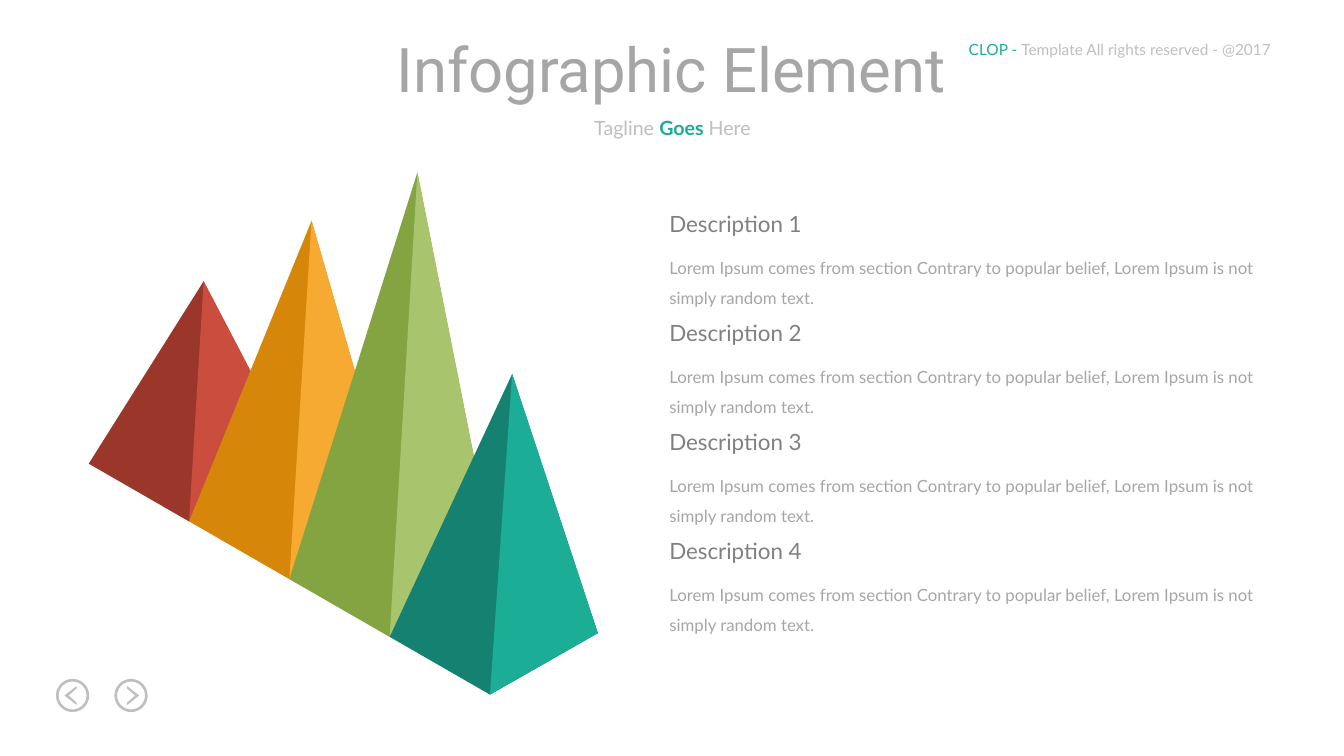
from dataclasses import dataclass

from pptx import Presentation
from pptx.dml.color import RGBColor
from pptx.enum.shapes import MSO_SHAPE as Preset
from pptx.enum.text import MSO_ANCHOR as Anchor, MSO_AUTO_SIZE as AutoSize, PP_ALIGN as Align
from pptx.util import Inches, Pt

# Content
TITLE = "Infographic Element"
TAGLINE = [("Tagline ", "pale", False), ("Goes ", "accent", True), ("Here", "pale", False)]
COPYRIGHT = [("CLOP - ", "accent", False), ("Template All rights reserved - @2017", "pale", False)]
LOREM = ("Lorem Ipsum comes from section Contrary to popular belief, "
         "Lorem Ipsum is not simply random text.")
DESCRIPTIONS = [(f"Description {number}", LOREM) for number in range(1, 5)]
PYRAMIDS = [  # apex, shaded face, lit face
    ((2.02, 2.79), "9B372A", "CA4D3D"),
    ((3.09, 2.19), "D68608", "F7AA32"),
    ((4.14, 1.71), "84A441", "A8C56D"),
    ((5.08, 3.71), "158271", "1CAD97"),
]


@dataclass(frozen=True)
class Theme:
    accent: str = "1CAD97"
    pale: str = "BFBFBF"
    body: str = "A6A6A6"
    heading: str = "808080"
    title_font: str = "Roboto"
    text_font: str = "Lato"
    title_size: int = 44
    heading_size: int = 16
    tagline_size: int = 14
    body_size: int = 12
    small_size: int = 11


THEME = Theme()

# Layout in inches
SLIDE_SIZE = (13.33, 7.5)
TITLE_BOX = (3.81, 0.26, 5.7, 0.84)
TAGLINE_BOX = (5.77, 1.1, 1.8, 0.34)
COPYRIGHT_BOX = (9.51, 0.35, 3.26, 0.29)
TEXT_LEFT, TEXT_TOP, ROW_PITCH = 6.54, 2.04, 1.08
HEADING_WIDTH, HEADING_HEIGHT = 1.53, 0.37
BODY_WIDTH, BODY_HEIGHT = 6.19, 0.71
BASE_START, BASE_STEP = (0.88, 4.6), (0.995, 0.573)
BASE_DEPTH = (1.07, -0.61)
BUTTON_CENTERS, BUTTON_Y, BUTTON_SIZE = [(0.72, -1), (1.3, 1)], 6.9, 0.33


def inches(values):
    return [Inches(value) for value in values]


def paint(shape, color):
    shape.shadow.inherit = False
    shape.fill.solid()
    shape.fill.fore_color.rgb = RGBColor.from_string(color)
    shape.line.fill.background()


def draw_polygon(slide, points, color):
    corners = [inches(point) for point in points]
    builder = slide.shapes.build_freeform(*corners[0])
    builder.add_line_segments(corners[1:], close=True)
    paint(builder.convert_to_shape(), color)


def fill_text(shape, box, runs, size, font=THEME.text_font, align=Align.LEFT,
              wrap=False, line_spacing=1.0):
    shape.left, shape.top, shape.width, shape.height = inches(box)
    frame = shape.text_frame
    frame.word_wrap = wrap
    frame.auto_size = AutoSize.SHAPE_TO_FIT_TEXT
    frame.vertical_anchor = Anchor.TOP
    paragraph = frame.paragraphs[0]
    paragraph.alignment = align
    paragraph.line_spacing = line_spacing
    paragraph.space_before = Pt(0)
    paragraph.font.name = font
    paragraph.font.size = Pt(size)
    for text, color, bold in runs:
        run = paragraph.add_run()
        run.text = text
        run.font.bold = bold
        run.font.color.rgb = RGBColor.from_string(getattr(THEME, color))


def add_text(slide, box, runs, size, **options):
    fill_text(slide.shapes.add_textbox(*inches(box)), box, runs, size, **options)


def add_button(slide, center, direction):
    """Ring with a chevron; direction is -1 for back and 1 for forward."""
    half = BUTTON_SIZE / 2
    box = (center - half, BUTTON_Y - half, BUTTON_SIZE, BUTTON_SIZE)
    ring = slide.shapes.add_shape(Preset.DONUT, *inches(box))
    ring.adjustments[0] = 0.08
    paint(ring, THEME.pale)
    chevron = [(-0.04, -0.07), (0.04, 0), (-0.04, 0.07), (-0.04, 0.095),
               (0.08, 0), (-0.04, -0.095)]
    draw_polygon(slide, [(center + direction * x, BUTTON_Y + y) for x, y in chevron], THEME.pale)


def base_point(index):
    return tuple(start + index * step for start, step in zip(BASE_START, BASE_STEP))


def main():
    presentation = Presentation()
    presentation.slide_width, presentation.slide_height = inches(SLIDE_SIZE)
    slide = presentation.slides.add_slide(presentation.slide_layouts[0])

    # Header
    fill_text(slide.shapes.title, TITLE_BOX, [(TITLE, "body", False)], THEME.title_size,
              font=THEME.title_font, align=Align.CENTER)
    fill_text(slide.placeholders[1], TAGLINE_BOX, TAGLINE, THEME.tagline_size,
              align=Align.CENTER)
    add_text(slide, COPYRIGHT_BOX, COPYRIGHT, THEME.small_size)

    # Navigation buttons
    for center, direction in BUTTON_CENTERS:
        add_button(slide, center, direction)

    # Pyramids, from back to front
    for index, (apex, shaded, lit) in enumerate(PYRAMIDS):
        left, front = base_point(index), base_point(index + 1)
        right = tuple(start + depth for start, depth in zip(front, BASE_DEPTH))
        draw_polygon(slide, [left, apex, right, front], shaded)
        draw_polygon(slide, [apex, front, right], lit)

    # Descriptions
    for row, (heading, body) in enumerate(DESCRIPTIONS):
        top = TEXT_TOP + row * ROW_PITCH
        add_text(slide, (TEXT_LEFT, top, HEADING_WIDTH, HEADING_HEIGHT),
                 [(heading, "heading", False)], THEME.heading_size)
        add_text(slide, (TEXT_LEFT, top + HEADING_HEIGHT, BODY_WIDTH, BODY_HEIGHT),
                 [(body, "body", False)], THEME.body_size, wrap=True, line_spacing=1.5)

    presentation.save("out.pptx")


if __name__ == "__main__":
    main()
